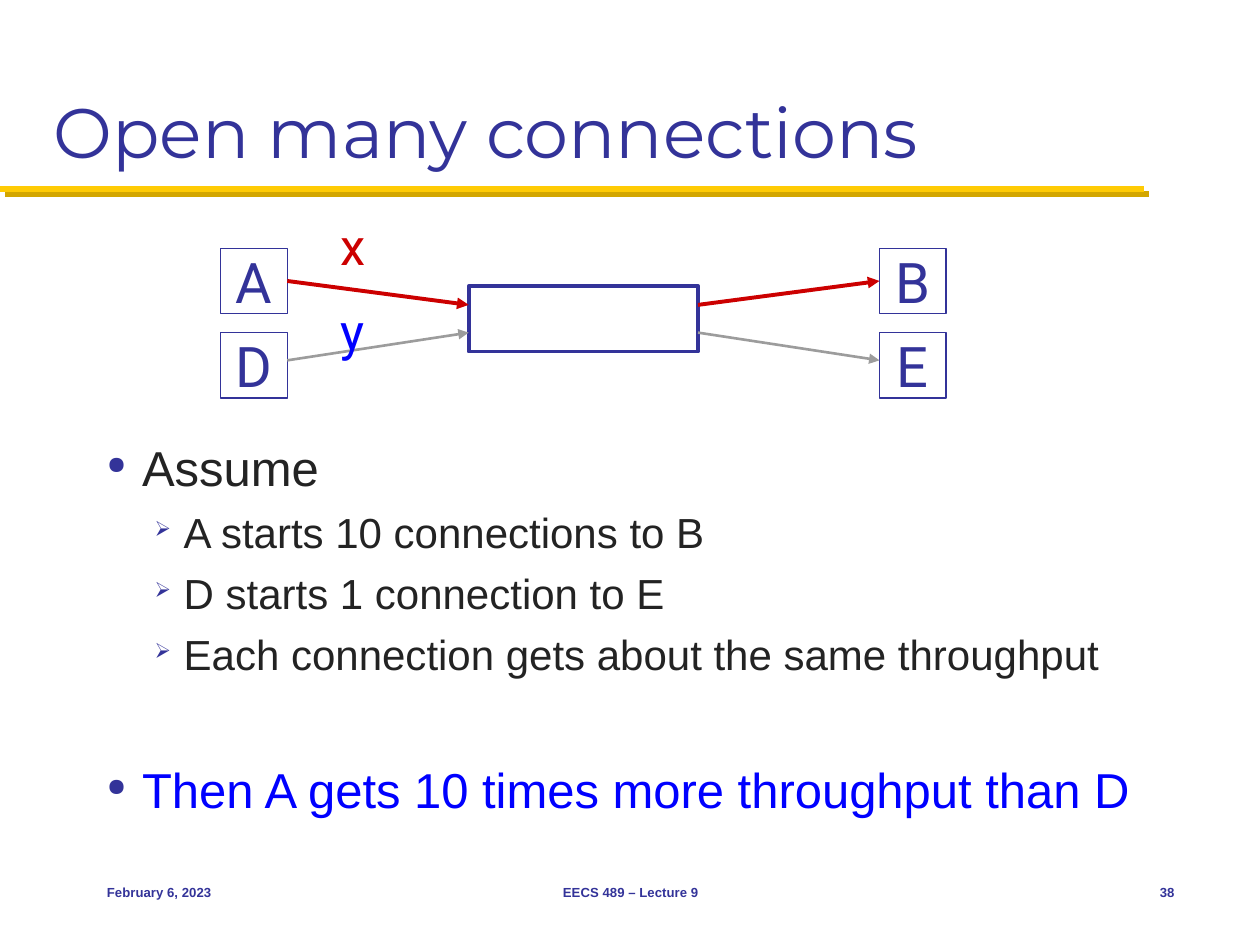
from lxml import etree
from pptx import Presentation
from pptx.dml.color import RGBColor
from pptx.enum.shapes import MSO_CONNECTOR, MSO_SHAPE
from pptx.enum.text import MSO_ANCHOR, PP_ALIGN
from pptx.oxml import parse_xml
from pptx.oxml.ns import qn
from pptx.util import Inches, Pt

NAVY, RED, BLUE, GREY, DARK = "333399", "CC0000", "0000FF", "9C9C9C", "232323"
SPACE = "http://schemas.openxmlformats.org/drawingml/2006/main"


def color(value):
    """Turn a hex string into a colour."""
    return RGBColor.from_string(value)


def write(para, text, size=28, font="Arial", tint=NAVY, bold=False, align=PP_ALIGN.LEFT):
    """Add a formatted run to a paragraph."""
    para.alignment = align
    run = para.add_run()
    run.text = text
    run.font.size = Pt(size)
    run.font.name = font
    run.font.bold = bold
    run.font.color.rgb = color(tint)


def frame(shape, anchor=MSO_ANCHOR.MIDDLE, side=0.1, edge=0.05):
    """Set up and return the text frame of a shape."""
    body = shape.text_frame
    body.word_wrap = True
    body.vertical_anchor = anchor
    body.margin_left = body.margin_right = Inches(side)
    body.margin_top = body.margin_bottom = Inches(edge)
    return body


def label(slide, box, text, anchor=MSO_ANCHOR.MIDDLE, side=0.1, edge=0.05, **style):
    """Place one line of text in a box."""
    shape = slide.shapes.add_textbox(*map(Inches, box))
    write(frame(shape, anchor, side, edge).paragraphs[0], text, **style)


def block(slide, box, width):
    """Draw a white rectangle with a navy outline."""
    shape = slide.shapes.add_shape(MSO_SHAPE.RECTANGLE, *map(Inches, box))
    shape.shadow.inherit = False
    shape.fill.solid()
    shape.fill.fore_color.rgb = color("FFFFFF")
    shape.line.color.rgb = color(NAVY)
    shape.line.width = Pt(width)
    return shape


def stroke(slide, start, end, tint, width, head=False, shade=""):
    """Draw a line, with an arrowhead or a shadow if asked."""
    line = slide.shapes.add_connector(
        MSO_CONNECTOR.STRAIGHT, *map(Inches, (*start, *end)))
    line.line.color.rgb = color(tint)
    line.line.width = Pt(width)
    if head:
        etree.SubElement(line.line._get_or_add_ln(), qn("a:tailEnd"), type="triangle")
    line._element.spPr.append(
        parse_xml(f'<a:effectLst xmlns:a="{SPACE}">{shade}</a:effectLst>'))


def header(slide, left, top, width, height):
    """Place the title and the gold rule below it."""
    label(slide, (left, top, width, height), "Open many connections",
          anchor=MSO_ANCHOR.BOTTOM, size=40, font="Montserrat")
    shade = ('<a:outerShdw dist="53340" dir="2700000" algn="ctr" rotWithShape="0">'
             '<a:srgbClr val="D3A600"/></a:outerShdw>')
    rule = top + height + 0.08
    stroke(slide, (0, rule), (9.08, rule), "FFCB05", 3.5, shade=shade)


def network(slide, left, top, width):
    """Draw two flows that share the link in the middle."""
    wide, high, span = 0.53, 0.52, 1.82
    right = left + width - wide
    near = left + (width - span) / 2
    far = near + span
    block(slide, (near, top + 0.3, span, high), 2.25)
    flows = [
        ("A", "B", "x", 0, 0.26, 0.45, RED, RED, 2.25),
        ("D", "E", "y", 0.67, 0.89, 0.67, GREY, BLUE, 1.5),
    ]
    for source, sink, name, row, outer, inner, tint, ink, weight in flows:
        for place, text in ((left, source), (right, sink)):
            node = block(slide, (place, top + row, wide, high), 0.75)
            write(frame(node, side=0.04, edge=0.02).paragraphs[0], text,
                  size=32, font="Roboto", align=PP_ALIGN.CENTER)
        stroke(slide, (left + wide, top + outer), (near, top + inner), tint, weight, True)
        stroke(slide, (far, top + inner), (right, top + outer), tint, weight, True)
        label(slide, (left + 0.91, top + row - 0.3, 0.38, 0.56), name,
              side=0.04, edge=0.02, size=29, font="Roboto", tint=ink)


def bullet(para, sign, left, hang):
    """Give a paragraph a half-size navy bullet."""
    props = para._p.get_or_add_pPr()
    props.set("marL", str(Inches(left)))
    props.set("indent", str(-Inches(hang)))
    tint = etree.SubElement(props, qn("a:buClr"))
    etree.SubElement(tint, qn("a:srgbClr"), val=NAVY)
    etree.SubElement(props, qn("a:buSzPct"), val="50000")
    etree.SubElement(props, qn("a:buChar"), char=sign)


def points(slide, left, top, width, height):
    """Write the bullet list."""
    body = frame(slide.shapes.add_textbox(*map(Inches, (left, top, width, height))),
                 MSO_ANCHOR.TOP)
    rows = [
        (0, "Assume", DARK, 0),
        (1, "A starts 10 connections to B", DARK, 6),
        (1, "D starts 1 connection to E", DARK, 6),
        (1, "Each connection gets about the same throughput", DARK, 6),
        (0, "Then A gets 10 times more throughput than D", BLUE, 46),
    ]
    levels = [("●", 0.28, 0.28, 28), ("➢", 0.61, 0.23, 24)]
    for spot, (level, text, tint, gap) in enumerate(rows):
        para = body.add_paragraph() if spot else body.paragraphs[0]
        sign, indent, hang, size = levels[level]
        para.level = level
        para.space_before = Pt(gap)
        bullet(para, sign, indent, hang)
        write(para, text, size=size, tint=tint)


def footer(slide, left, top, width, height):
    """Write the date, the lecture and the page number."""
    parts = [
        (0, 2.08, "February 6, 2023", PP_ALIGN.LEFT),
        (2.67, 3.17, "EECS 489 – Lecture 9", PP_ALIGN.CENTER),
        (width - 0.67, 0.67, "38", PP_ALIGN.RIGHT),
    ]
    for shift, span, text, align in parts:
        label(slide, (left + shift, top, span, height), text,
              size=7.5, bold=True, align=align)


def main():
    """Build and save the slide."""
    deck = Presentation()
    deck.slide_width, deck.slide_height = Inches(10), Inches(7.5)
    slide = deck.slides.add_slide(deck.slide_layouts[6])
    header(slide, 0.33, 0.17, 9.33, 1.25)
    points(slide, 0.75, 3.42, 8.67, 3.16)
    network(slide, 1.75, 1.97, 5.76)
    footer(slide, 0.75, 6.83, 8.67, 0.5)
    deck.save("out.pptx")


if __name__ == "__main__":
    main()
